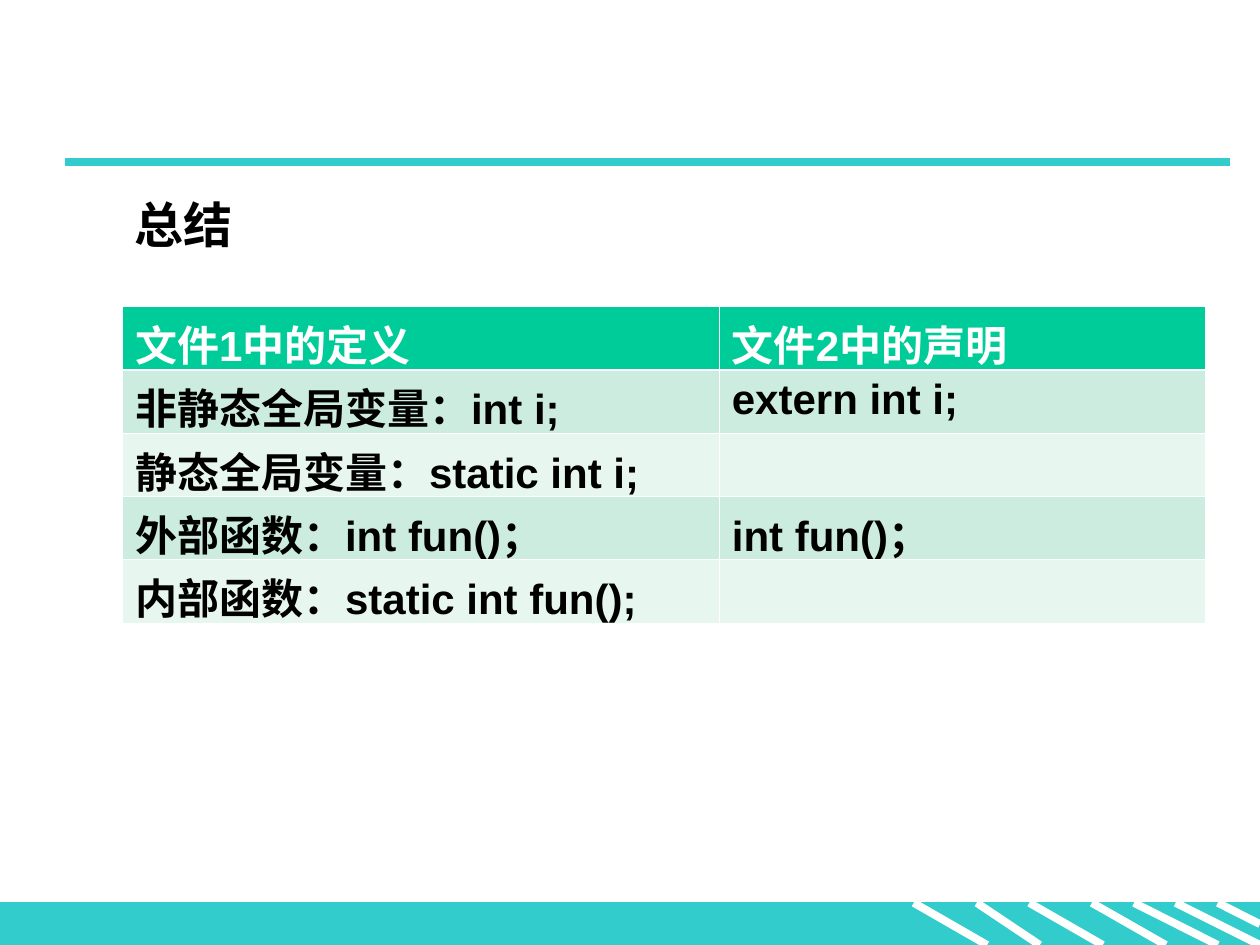
from dataclasses import dataclass

import lxml.etree
import pptx
import pptx.dml.color
import pptx.enum.shapes
import pptx.oxml.ns
import pptx.util
from pptx.util import Cm

COLORS = {
    "teal": "33CCCC",
    "header": "00CC99",
    "band_dark": "CBECDE",
    "band_light": "E7F6EF",
    "white": "FFFFFF",
    "black": "000000",
}
SLIDE_WIDTH, SLIDE_HEIGHT = 25.4, 19.05
BAND_TOP = 18.2
COLUMN_WIDTHS = (12.03, 9.79)
ROW_HEIGHT = 1.27
CELL_BOTTOM_MARGIN = -0.08  # lets the tall Chinese line fit the row
THIN, THICK = 0.45, 1.47
TABLE_ROWS = (
    ("文件1中的定义", "文件2中的声明"),
    ("非静态全局变量：int i;", "extern int i;"),
    ("静态全局变量：static int i;", ""),
    ("外部函数：int fun()；", "int fun()；"),
    ("内部函数：static int fun();", ""),
)


@dataclass
class Line:
    """A straight line, with its ends in centimetres."""
    x1: float
    y1: float
    x2: float
    y2: float
    color: str = "white"


STRIPES = [
    Line(x1, BAND_TOP, x2, SLIDE_HEIGHT)
    for x1, x2 in (
        (19.69, 20.96), (18.42, 19.9), (20.75, 22.23),
        (23.7, 25.4), (22.86, 24.55), (22.01, 23.5),
    )
] + [Line(24.55, BAND_TOP, SLIDE_WIDTH, 18.63)]
TITLE_RULE = Line(1.31, 3.27, 24.8, 3.27, "teal")


def rgb(name: str) -> pptx.dml.color.RGBColor:
    return pptx.dml.color.RGBColor.from_string(COLORS[name])


def write_text(frame, text: str, *, size: float, font: str, color: str, bold: bool = True) -> None:
    para = frame.paragraphs[0]
    para.font.size = pptx.util.Pt(size)
    if not text:
        return
    span = para.add_run()
    span.text = text
    span.font.size = pptx.util.Pt(size)
    span.font.name = font
    span.font.bold = bold
    span.font.color.rgb = rgb(color)


def draw_line(slide, line: Line) -> None:
    connector = slide.shapes.add_connector(
        pptx.enum.shapes.MSO_CONNECTOR.STRAIGHT,
        Cm(line.x1), Cm(line.y1), Cm(line.x2), Cm(line.y2),
    )
    connector.line.color.rgb = rgb(line.color)
    connector.line.width = pptx.util.Pt(4.5)
    properties = connector._element.spPr
    lxml.etree.SubElement(properties, pptx.oxml.ns.qn("a:effectLst"))


def draw_footer_band(slide) -> None:
    band = slide.shapes.add_shape(
        pptx.enum.shapes.MSO_SHAPE.RECTANGLE,
        Cm(0), Cm(BAND_TOP), Cm(SLIDE_WIDTH), Cm(SLIDE_HEIGHT - BAND_TOP),
    )
    band.shadow.inherit = False
    band.fill.solid()
    band.fill.fore_color.rgb = rgb("teal")
    band.line.color.rgb = rgb("teal")
    band.line.width = pptx.util.Pt(0.75)
    for stripe in STRIPES:
        draw_line(slide, stripe)


def set_borders(cell, top: float, bottom: float) -> None:
    """Give the cell white borders; widths are in points."""
    qn = pptx.oxml.ns.qn
    properties = cell._tc.get_or_add_tcPr()
    widths = {"lnL": THIN, "lnR": THIN, "lnT": top, "lnB": bottom}
    for index, (side, width) in enumerate(widths.items()):
        border = lxml.etree.Element(qn(f"a:{side}"), w=str(int(pptx.util.Pt(width))))
        fill = lxml.etree.SubElement(border, qn("a:solidFill"))
        lxml.etree.SubElement(fill, qn("a:srgbClr"), val=COLORS["white"])
        properties.insert(index, border)


def draw_table(slide) -> None:
    table = slide.shapes.add_table(
        len(TABLE_ROWS), len(COLUMN_WIDTHS), Cm(2.47), Cm(6.18),
        Cm(sum(COLUMN_WIDTHS)), Cm(ROW_HEIGHT * len(TABLE_ROWS)),
    ).table
    for column, width in zip(table.columns, COLUMN_WIDTHS):
        column.width = Cm(width)
    for row_index, texts in enumerate(TABLE_ROWS):
        is_header = row_index == 0
        band = "band_dark" if row_index % 2 else "band_light"
        for column_index, text in enumerate(texts):
            cell = table.cell(row_index, column_index)
            cell.margin_bottom = Cm(CELL_BOTTOM_MARGIN)
            cell.fill.solid()
            cell.fill.fore_color.rgb = rgb("header" if is_header else band)
            set_borders(
                cell,
                top=THICK if row_index == 1 else THIN,
                bottom=THICK if is_header else THIN,
            )
            write_text(cell.text_frame, text, size=24, font="Arial",
                       color="white" if is_header else "black")


def draw_heading(slide) -> None:
    box = slide.shapes.add_textbox(Cm(2.47), Cm(3.8), Cm(10.03), Cm(1.45))
    box.text_frame.word_wrap = True
    write_text(box.text_frame, "总结", size=28, font="Times New Roman", color="black")


def main() -> None:
    deck = pptx.Presentation()
    deck.slide_width, deck.slide_height = Cm(SLIDE_WIDTH), Cm(SLIDE_HEIGHT)
    page = deck.slides.add_slide(deck.slide_layouts[6])
    draw_footer_band(page)
    draw_line(page, TITLE_RULE)
    draw_table(page)
    draw_heading(page)
    deck.save("out.pptx")


if __name__ == "__main__":
    main()
